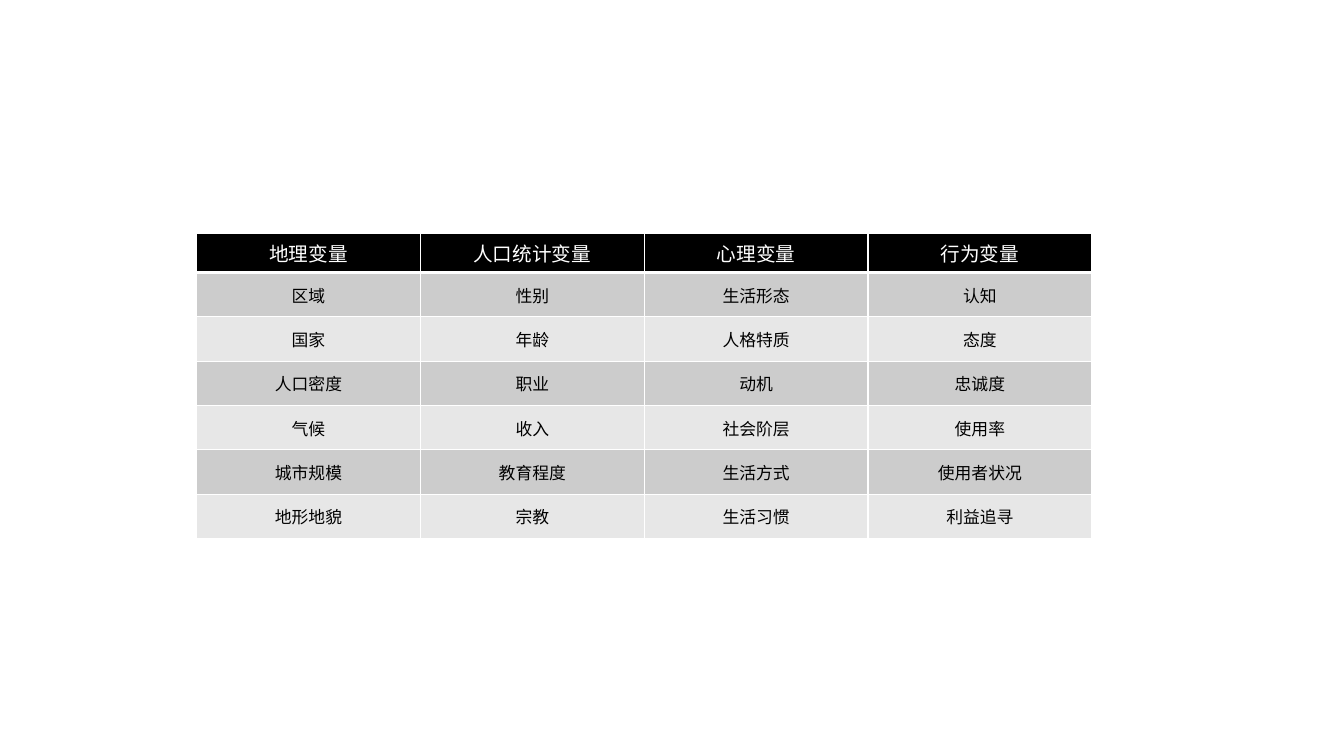
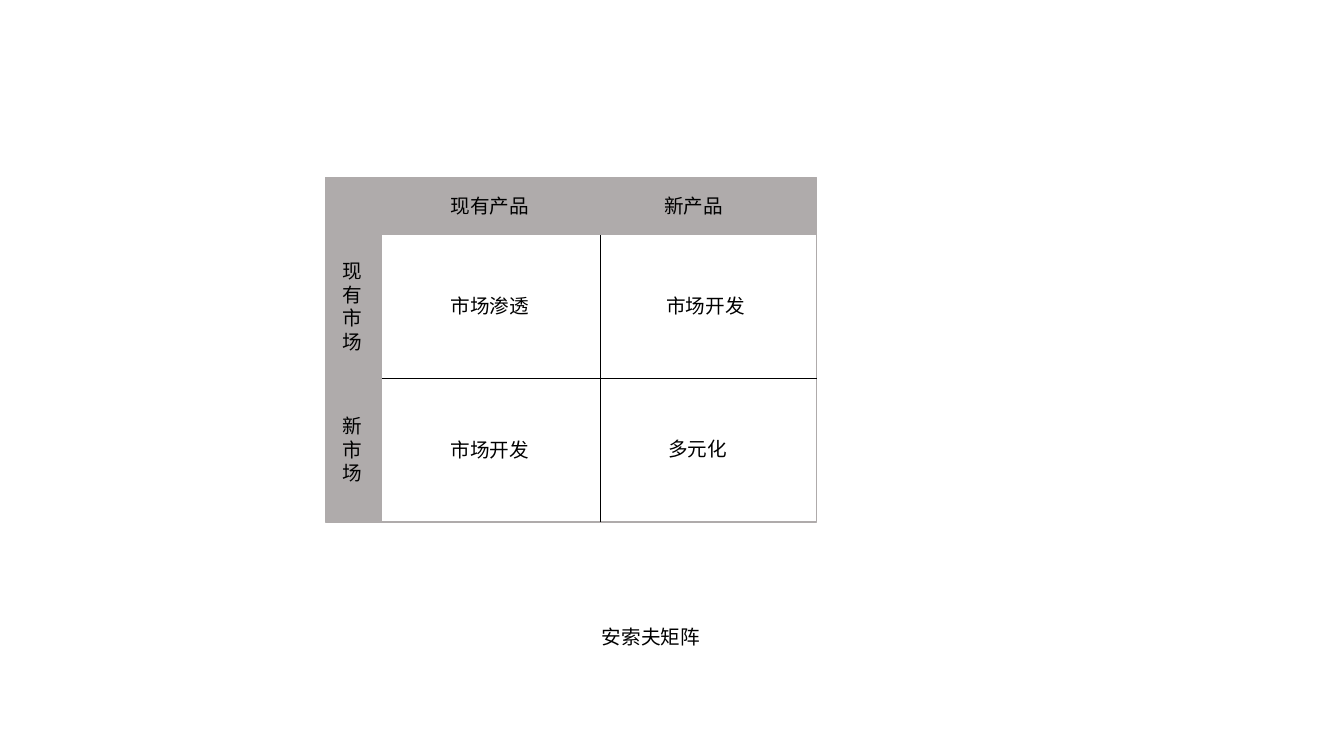
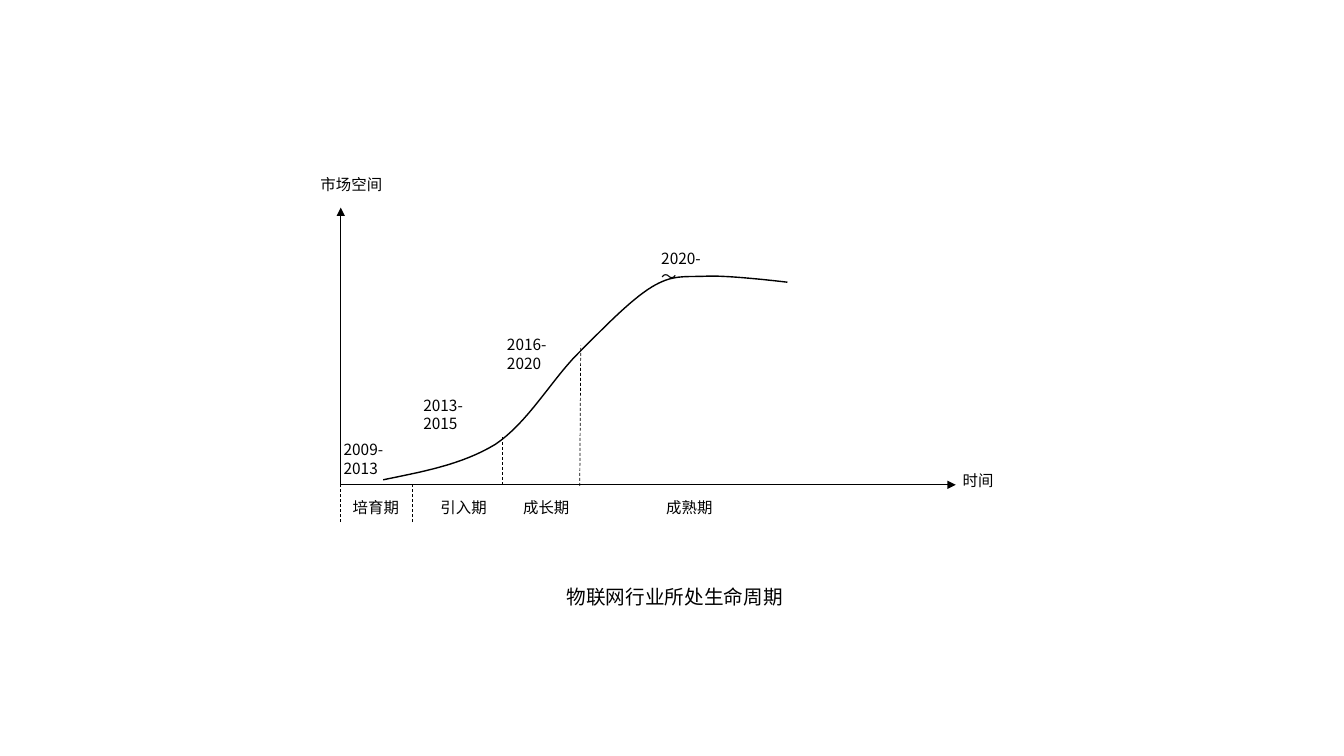
from lxml.etree import SubElement
from pptx import Presentation
from pptx.dml.color import RGBColor
from pptx.enum.dml import MSO_LINE
from pptx.enum.shapes import MSO_CONNECTOR, MSO_SHAPE
from pptx.enum.text import MSO_ANCHOR, MSO_AUTO_SIZE, PP_ALIGN
from pptx.oxml.ns import qn
from pptx.util import Emu, Pt

PX = 9144  # one px is a hundredth of an inch
FONT = "Noto Sans CJK SC"
COLORS = {"ink": "000000", "paper": "FFFFFF", "frame": "AFABAB",
          "dark_row": "CCCCCC", "light_row": "E7E7E7"}
LABEL, SMALL, CELL = 14, 11, 12
TITLE_ONLY, BLANK = 5, 6


def px(n):
    return Emu(round(n * PX))


def rgb(name):
    return RGBColor.from_string(COLORS[name])


def bezier(p0, p1, p2, p3, steps=16):
    """Points along a cubic curve, without its start."""
    for i in range(1, steps + 1):
        t = i / steps
        u = 1 - t
        yield tuple(u**3 * a + 3 * u * u * t * b + 3 * u * t * t * c + t**3 * d
                    for a, b, c, d in zip(p0, p1, p2, p3))


class Deck:
    def __init__(self, width, height):
        self.prs = Presentation()
        self.prs.slide_width, self.prs.slide_height = px(width), px(height)
        self.slide = None

    def new_slide(self, layout):
        self.slide = self.prs.slides.add_slide(self.prs.slide_layouts[layout])

    def put_run(self, tf, text, size, color="ink", align=PP_ALIGN.LEFT):
        p = tf.paragraphs[0]
        p.alignment = align
        r = p.add_run()
        r.text = text
        for name, value in {"size": Pt(size), "name": FONT, "bold": False}.items():
            setattr(r.font, name, value)
        r.font.color.rgb = rgb(color)
        SubElement(r.font._element, qn("a:ea"), typeface=FONT)

    def frame(self, sp, text, size, wrap):
        tf = sp.text_frame
        values = {"word_wrap": wrap, "auto_size": MSO_AUTO_SIZE.SHAPE_TO_FIT_TEXT,
                  "vertical_anchor": MSO_ANCHOR.TOP}
        for name, value in values.items():
            setattr(tf, name, value)
        self.put_run(tf, text, size)

    def title(self, text, x, y, w, h):
        sp = self.slide.shapes.title
        for name, value in zip(("left", "top", "width", "height"), (x, y, w, h)):
            setattr(sp, name, px(value))
        self.frame(sp, text, LABEL, False)

    def text(self, text, x, y, w, h, size=LABEL, wrap=False):
        sp = self.slide.shapes.add_textbox(px(x), px(y), px(w), px(h))
        self.frame(sp, text, size, wrap)

    def stroke(self, sp, color, width):
        sp.line.color.rgb = rgb(color)
        sp.line.width = Pt(width)

    def rect(self, x, y, w, h, fill=None):
        sp = self.slide.shapes.add_shape(MSO_SHAPE.RECTANGLE, px(x), px(y), px(w), px(h))
        sp.shadow.inherit = False
        if fill:
            sp.fill.solid()
            sp.fill.fore_color.rgb = rgb(fill)
        else:
            sp.fill.background()
        self.stroke(sp, "frame", 1)

    def line(self, x1, y1, x2, y2, dash=False, arrow=False):
        sp = self.slide.shapes.add_connector(
            MSO_CONNECTOR.STRAIGHT, px(x1), px(y1), px(x2), px(y2))
        self.stroke(sp, "ink", 0.5)
        if dash:
            sp.line.dash_style = MSO_LINE.DASH
        spPr = sp._element.spPr
        if arrow:
            SubElement(spPr.find(qn("a:ln")), qn("a:tailEnd"), type="triangle")
        SubElement(spPr, qn("a:effectLst"))

    def curve(self, start, segments):
        points = [start]
        for segment in segments:
            points += bezier(points[-1], *segment)
        # Scale up so that sampled points keep their fractions
        points = [(round(x * 100), round(y * 100)) for x, y in points]
        builder = self.slide.shapes.build_freeform(*points[0], scale=PX / 100)
        builder.add_line_segments(points[1:], close=False)
        sp = builder.convert_to_shape()
        sp.shadow.inherit = False
        sp.fill.background()
        self.stroke(sp, "ink", 1)

    def borders(self, cell, bottom):
        tcPr = cell._tc.get_or_add_tcPr()
        for i, (side, width) in enumerate(zip(("lnL", "lnR", "lnT", "lnB"), (1, 1, 1, bottom))):
            ln = tcPr.makeelement(qn(f"a:{side}"), {"w": str(Pt(width))})
            fill = SubElement(ln, qn("a:solidFill"))
            SubElement(fill, qn("a:srgbClr"), val=COLORS["paper"])
            tcPr.insert(i, ln)

    def table(self, rows, x, y, col_w, head_h, row_h):
        table = self.slide.shapes.add_table(
            len(rows), len(rows[0]), px(x), px(y), px(col_w * len(rows[0])),
            px(head_h + row_h * (len(rows) - 1))).table
        for col in table.columns:
            col.width = px(col_w)
        for i, row in enumerate(rows):
            head = i == 0
            table.rows[i].height = px(head_h if head else row_h)
            fill = "ink" if head else "dark_row" if i % 2 else "light_row"
            for j, text in enumerate(row):
                cell = table.cell(i, j)
                cell.fill.solid()
                cell.fill.fore_color.rgb = rgb(fill)
                cell.vertical_anchor = MSO_ANCHOR.TOP if head else MSO_ANCHOR.MIDDLE
                self.put_run(cell.text_frame, text, LABEL if head else CELL,
                             "paper" if head else "ink", PP_ALIGN.CENTER)
                self.borders(cell, 3 if head else 1)


def segmentation(deck):
    deck.new_slide(BLANK)
    deck.table([
        ("地理变量", "人口统计变量", "心理变量", "行为变量"),
        ("区域", "性别", "生活形态", "认知"),
        ("国家", "年龄", "人格特质", "态度"),
        ("人口密度", "职业", "动机", "忠诚度"),
        ("气候", "收入", "社会阶层", "使用率"),
        ("城市规模", "教育程度", "生活方式", "使用者状况"),
        ("地形地貌", "宗教", "生活习惯", "利益追寻"),
    ], 195, 232, 222, 36, 44)


def ansoff_matrix(deck):
    deck.new_slide(TITLE_ONLY)
    deck.title("安索夫矩阵", 587, 615, 118, 34)
    # Grid and its header bands
    left, top, width, height = 378, 232, 432, 286
    band_w, band_h = 55, 57
    mid_x, mid_y = left + width // 2 + 1, top + height // 2
    deck.rect(left, top, width, height)
    deck.line(left, mid_y, left + width, mid_y)
    deck.line(mid_x, top, mid_x, top + height)
    deck.rect(left - band_w, top - band_h + 1, width + band_w, band_h, "frame")
    deck.rect(left - band_w, top - band_h + 1, band_w, height + band_h - 1, "frame")
    # Column heads and quadrants
    for text, x, y, w in [
        ("现有产品", 437, 187, 99), ("新产品", 649, 187, 79),
        ("市场渗透", 437, 287, 99), ("市场开发", 651, 287, 99),
        ("市场开发", 437, 430, 99), ("多元化", 653, 429, 79),
    ]:
        deck.text(text, x, y, w, 34)
    # Row heads, one character a line
    for text, y, h in [("现有市场", 252, 104), ("新市场", 406, 81)]:
        deck.text(text, 330, y, 42, h, wrap=True)


def life_cycle(deck):
    deck.new_slide(TITLE_ONLY)
    deck.title("物联网行业所处生命周期", 552, 575, 236, 34)
    # Axes
    x0, y0 = 338, 481
    deck.line(x0, y0, x0, 206, arrow=True)
    deck.line(x0, y0, 948, y0, arrow=True)
    deck.text("市场空间", 308, 169, 82, 29, SMALL)
    deck.text("时间", 945, 462, 51, 29, SMALL)
    # Stage limits
    for x1, y1, x2, y2 in [(x0, 518, x0, y0), (409, 518, 409, y0),
                           (498, y0, 498, 432), (575, 482, 576, 343)]:
        deck.line(x1, y1, x2, y2, dash=True)
    # Stages and their years
    for stage, x, years, years_x, years_y in [
        ("培育期", 340, "2009-2013", 331, 432),
        ("引入期", 427, "2013-2015", 410, 388),
        ("成长期", 509, "2016-2020", 493, 328),
        ("成熟期", 651, "2020-～", 646, 242),
    ]:
        deck.text(stage, x, 489, 66, 29, SMALL)
        deck.text(years, years_x, years_y, 70, 48, SMALL, wrap=True)
    # Growth curve
    deck.curve((380, 476), [
        ((419, 468), (458, 461), (491, 441)),
        ((523, 420), (547, 377), (573, 351)),
        ((599, 325), (625, 298), (646, 285)),
        ((667, 272), (679, 275), (701, 274)),
        ((724, 273), (781, 280), (781, 280)),
    ])


def main():
    deck = Deck(1333, 750)
    for build in (segmentation, ansoff_matrix, life_cycle):
        build(deck)
    deck.prs.save("out.pptx")


if __name__ == "__main__":
    main()
